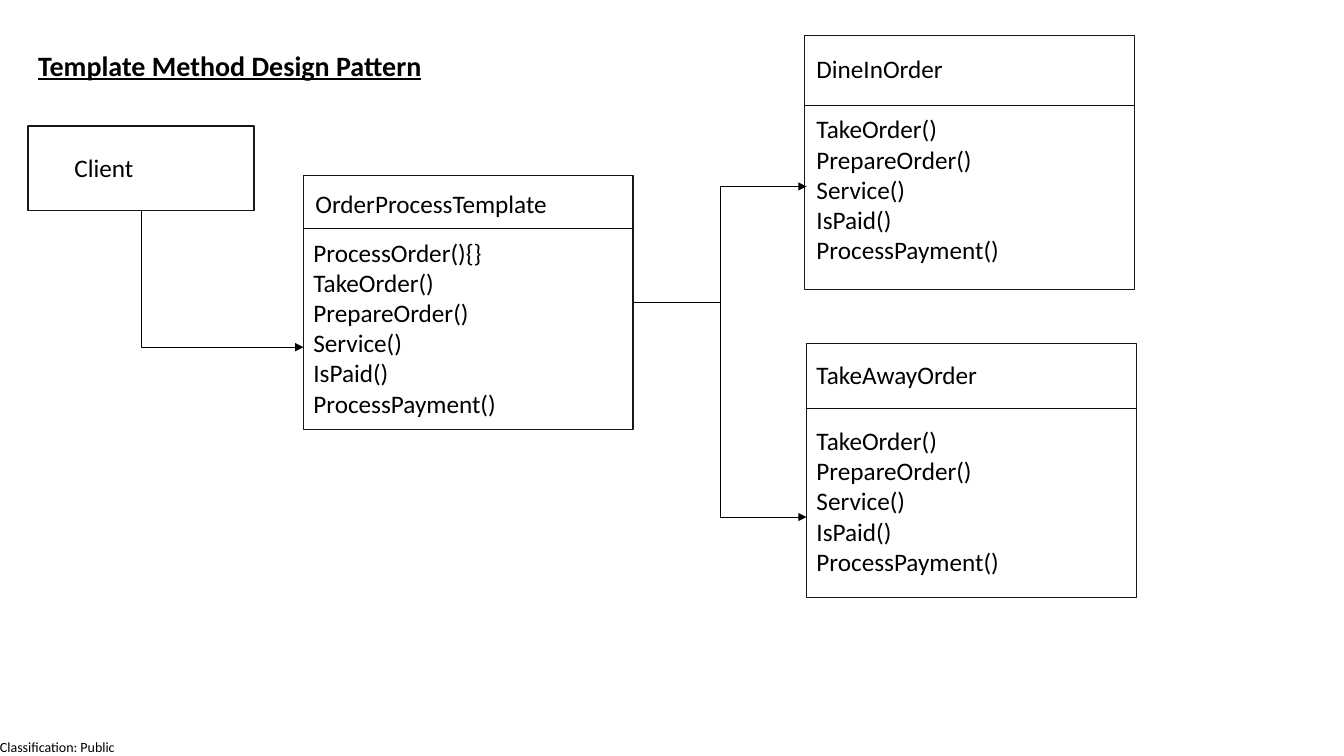
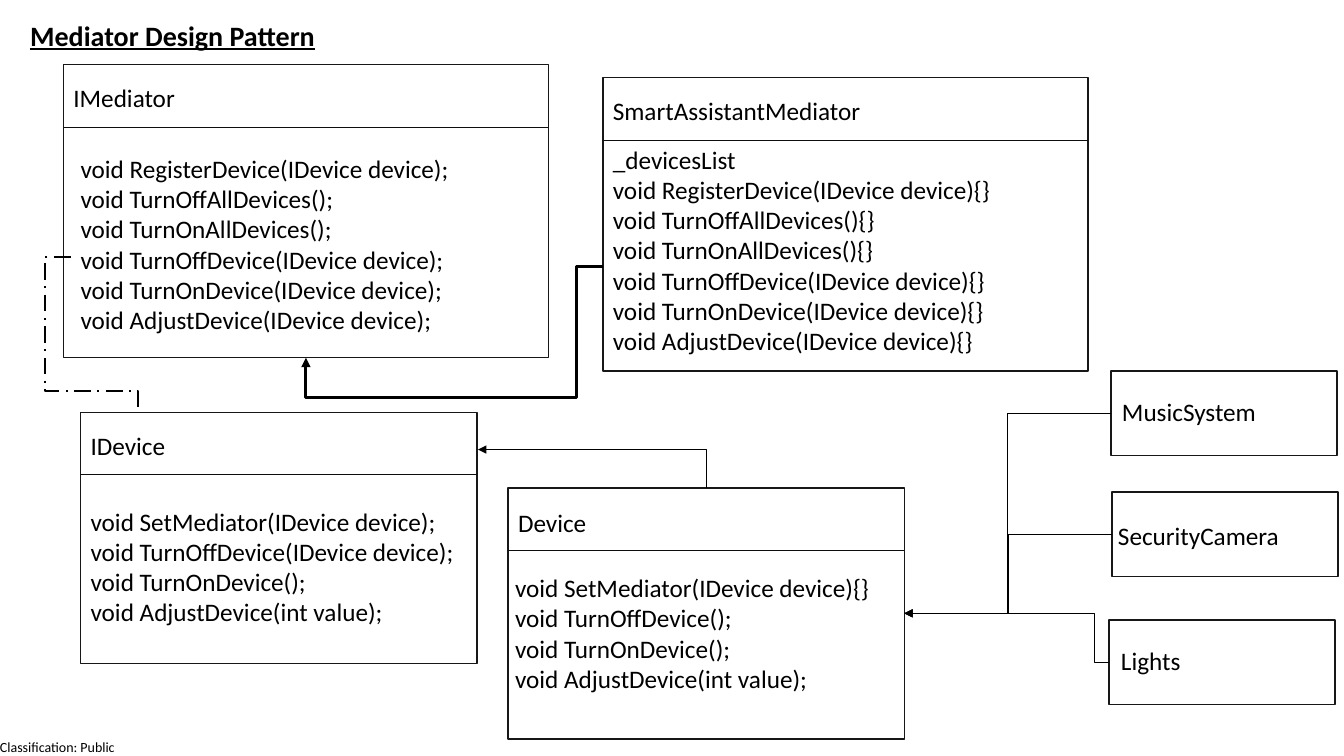
import dataclasses

import pptx
import pptx.dml.color
import pptx.enum.dml
import pptx.enum.shapes
import pptx.oxml
import pptx.oxml.ns
import pptx.util

Inches = pptx.util.Inches
Pt = pptx.util.Pt
TOP, LEFT, BOTTOM, RIGHT = range(4)


@dataclasses.dataclass(frozen=True)
class Theme:
    font: str = "Calibri"
    ink: str = "000000"
    border: str = "181717"
    divider: str = "0D0D0D"
    title_size: float = 20
    body_size: float = 18
    footer_size: float = 10
    border_width: float = 1
    thin: float = 0.5
    medium: float = 1.5
    thick: float = 2.25


class Deck:
    """Holds the style and the slide being drawn."""

    def __init__(self, theme):
        self.theme = theme
        self.prs = pptx.Presentation()
        self.prs.slide_width = Inches(13.33)
        self.prs.slide_height = Inches(7.5)
        self.s = None

    def new_slide(self, title, x, y):
        self.s = self.prs.slides.add_slide(self.prs.slide_layouts[6])
        self.text("Classification: Public", 0, 7.33, 1.17, 0.17,
                  size=self.theme.footer_size, inset=False)
        self.text(title, x, y, 6.71, 0.44, size=self.theme.title_size, heading=True)

    def text(self, text, x, y, w, h=0.4, size=None, heading=False, inset=True):
        sp = self.s.shapes.add_textbox(Inches(x), Inches(y), Inches(w), Inches(h))
        tf = sp.text_frame
        tf.word_wrap = True
        if not inset:
            tf.margin_left = tf.margin_right = tf.margin_top = tf.margin_bottom = 0
        tf.text = text
        for p in tf.paragraphs:
            for r in p.runs:
                r.font.name = self.theme.font
                r.font.size = Pt(size or self.theme.body_size)
                r.font.color.rgb = pptx.dml.color.RGBColor.from_string(self.theme.ink)
                if heading:
                    r.font.bold = r.font.underline = True
        return sp

    def stroke(self, line, color, width):
        line.color.rgb = pptx.dml.color.RGBColor.from_string(color)
        line.width = Pt(width)

    def box(self, x, y, w, h):
        sp = self.s.shapes.add_shape(pptx.enum.shapes.MSO_SHAPE.RECTANGLE,
                                     Inches(x), Inches(y), Inches(w), Inches(h))
        sp.shadow.inherit = False
        sp.fill.background()
        self.stroke(sp.line, self.theme.border, self.theme.border_width)
        return sp

    def connector(self, kind, begin, end, color, width):
        cxn = self.s.shapes.add_connector(kind, *map(Inches, begin + end))
        self.stroke(cxn.line, color, width)
        etree_sub = pptx.oxml.parse_xml(
            "<a:effectLst %s/>" % pptx.oxml.ns.nsdecls("a"))
        cxn._element.spPr.append(etree_sub)
        return cxn

    def class_box(self, frame, split, name, name_at, members, body):
        """A frame with a name above the divider and members below it."""
        x, y, w, h = frame
        rect = self.box(x, y, w, h)
        self.connector(pptx.enum.shapes.MSO_CONNECTOR.STRAIGHT, (x, y + split),
                       (x + w, y + split), self.theme.divider, self.theme.thin)
        self.text(name, *name_at, 2.94)
        return rect, self.text("\n".join(members), *body)

    def elbow(self, begin, end, bends=3, adjust=(), arrow="tail", width=None, dash=None):
        """An elbow between two ends, each a point or a (shape, side) pair."""
        ends = [self.anchor(*begin), self.anchor(*end)]
        cxn = self.connector(pptx.enum.shapes.MSO_CONNECTOR.ELBOW, *ends,
                             self.theme.ink, width or self.theme.thin)
        for spot, join in ((begin, cxn.begin_connect), (end, cxn.end_connect)):
            if hasattr(spot[0], "shape_id"):
                join(*spot)
        # Number of bends and where they fall
        geom = cxn._element.spPr.find(pptx.oxml.ns.qn("a:prstGeom"))
        geom.set("prst", f"bentConnector{bends}")
        guides = geom.find(pptx.oxml.ns.qn("a:avLst"))
        for i, share in enumerate(adjust, 1):
            gd = guides.makeelement(pptx.oxml.ns.qn("a:gd"))
            gd.set("name", f"adj{i}")
            gd.set("fmla", f"val {round(share * 100000)}")
            guides.append(gd)
        if dash:
            cxn.line.dash_style = dash
        if arrow:
            ln = cxn.line._get_or_add_ln()
            head = ln.makeelement(pptx.oxml.ns.qn(f"a:{arrow}End"))
            head.set("type", "triangle")
            ln.append(head)

    @staticmethod
    def anchor(a, b):
        """The point in inches of a (shape, side) pair; a point stays as it is."""
        if not hasattr(a, "shape_id"):
            return a, b
        fx, fy = ((0.5, 0), (0, 0.5), (0.5, 1), (1, 0.5))[b]
        return (a.left + a.width * fx) / 914400, (a.top + a.height * fy) / 914400


def template_method(deck):
    deck.new_slide("Template Method Design Pattern", 0.28, 0.43)
    steps = ["TakeOrder()", "PrepareOrder()", "Service()", "IsPaid()", "ProcessPayment()"]
    w, h = 3.27, 2.52

    # Classes
    client = deck.box(0.28, 1.25, 2.24, 0.84)
    deck.text("Client", 0.64, 1.46, 1.5)
    template, template_body = deck.class_box(
        (3.01, 1.74, w, h), 0.53, "OrderProcessTemplate", (3.03, 1.82),
        ["ProcessOrder(){}"] + steps, (3.01, 2.3, 2.78, 2.29))
    _, dine_in = deck.class_box((7.98, 0.35, w, h), 0.7, "DineInOrder", (8, 0.48),
                                steps, (8, 1.08, 2.86, 1.54))
    _, take_away = deck.class_box((8, 3.41, w, h), 0.64, "TakeAwayOrder", (8, 3.52),
                                  steps, (8, 4.17, 2.86, 1.92))

    # Arrows
    deck.elbow((template_body, LEFT), (client, BOTTOM), bends=2, arrow="head")
    for order in (dine_in, take_away):
        deck.elbow((template, RIGHT), (order, LEFT), adjust=(0.5,))


def mediator(deck):
    theme = deck.theme
    deck.new_slide("Mediator Design Pattern", 0.2, 0.13)
    split = 0.62
    calls = ["void RegisterDevice(IDevice device)", "void TurnOffAllDevices()",
             "void TurnOnAllDevices()", "void TurnOffDevice(IDevice device)",
             "void TurnOnDevice(IDevice device)", "void AdjustDevice(IDevice device)"]
    device_calls = ["void TurnOnDevice();", "void AdjustDevice(int value);"]

    # Mediators
    imediator, imediator_body = deck.class_box(
        (0.63, 0.64, 4.81, 2.91), split, "IMediator", (0.63, 0.77),
        [c + ";" for c in calls], (0.7, 1.47, 5.01, 2.16))
    _, assistant_body = deck.class_box(
        (5.98, 0.77, 4.81, 2.91), split, "SmartAssistantMediator", (5.98, 0.9),
        ["_devicesList"] + [c + "{}" for c in calls], (5.98, 1.38, 5.01, 2.52))

    # Devices
    deck.class_box(
        (0.8, 4.09, 3.93, 2.49), split, "IDevice", (0.8, 4.22),
        ["void SetMediator(IDevice device);", "void TurnOffDevice(IDevice device);"]
        + device_calls, (0.8, 4.97, 5.01, 1.62))
    device, _ = deck.class_box(
        (5.04, 4.84, 3.93, 2.49), split, "Device", (5.04, 4.98),
        ["void SetMediator(IDevice device){}", "void TurnOffDevice();"]
        + device_calls, (5.01, 5.63, 4.61, 1.62))

    # Concrete devices, each pointing at Device
    for name, text_at, box_at, bend in (
            ("MusicSystem", (11.03, 3.88), (11.02, 3.68), 0.5),
            ("SecurityCamera", (10.99, 5.11), (11.03, 4.88), 0.5),
            ("Lights", (11.02, 6.35), (11, 6.15), 0.07)):
        sp = deck.box(*box_at, 2.24, 0.84)
        deck.text(name, *text_at, 2.24)
        deck.elbow((sp, LEFT), (device, RIGHT), adjust=(bend,))

    # Links between the interfaces and their classes
    deck.elbow((4.74, 4.46), (device, TOP), bends=2, arrow="head")
    deck.elbow((assistant_body, LEFT), (imediator, BOTTOM), bends=4,
               adjust=(0.09, 1.43), width=theme.thick)
    deck.elbow((imediator_body, LEFT), (1.37, 4.1), bends=4, adjust=(-0.38, 0.86),
               arrow=None, width=theme.medium,
               dash=pptx.enum.dml.MSO_LINE.LONG_DASH_DOT)


def main():
    deck = Deck(Theme())
    template_method(deck)
    mediator(deck)
    deck.prs.save("out.pptx")


if __name__ == "__main__":
    main()
